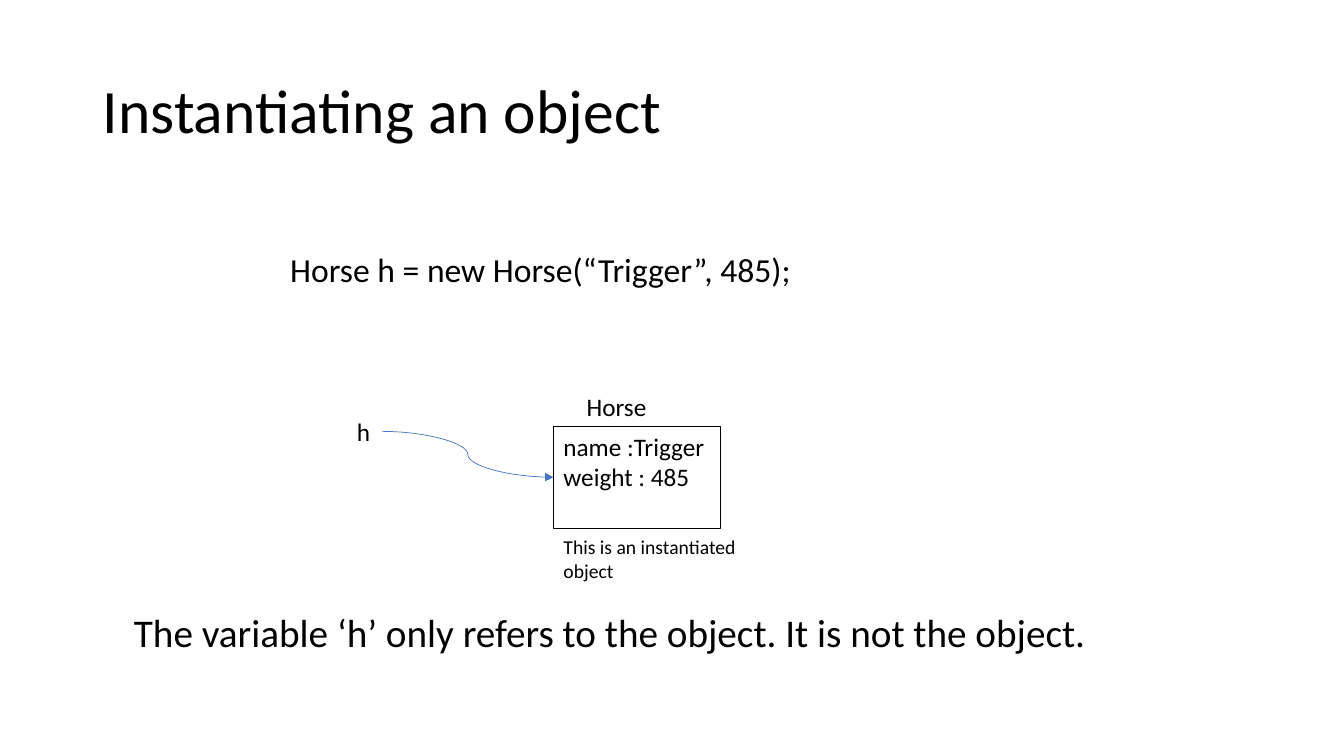
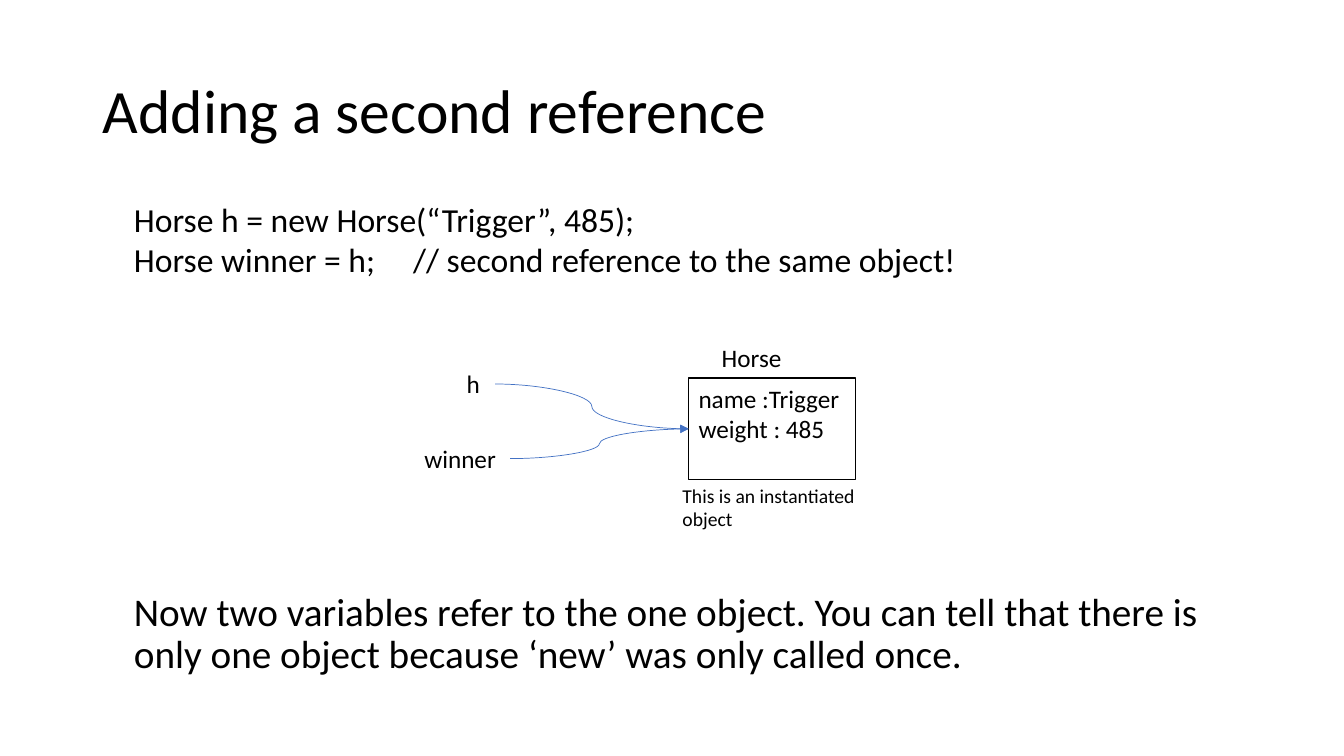
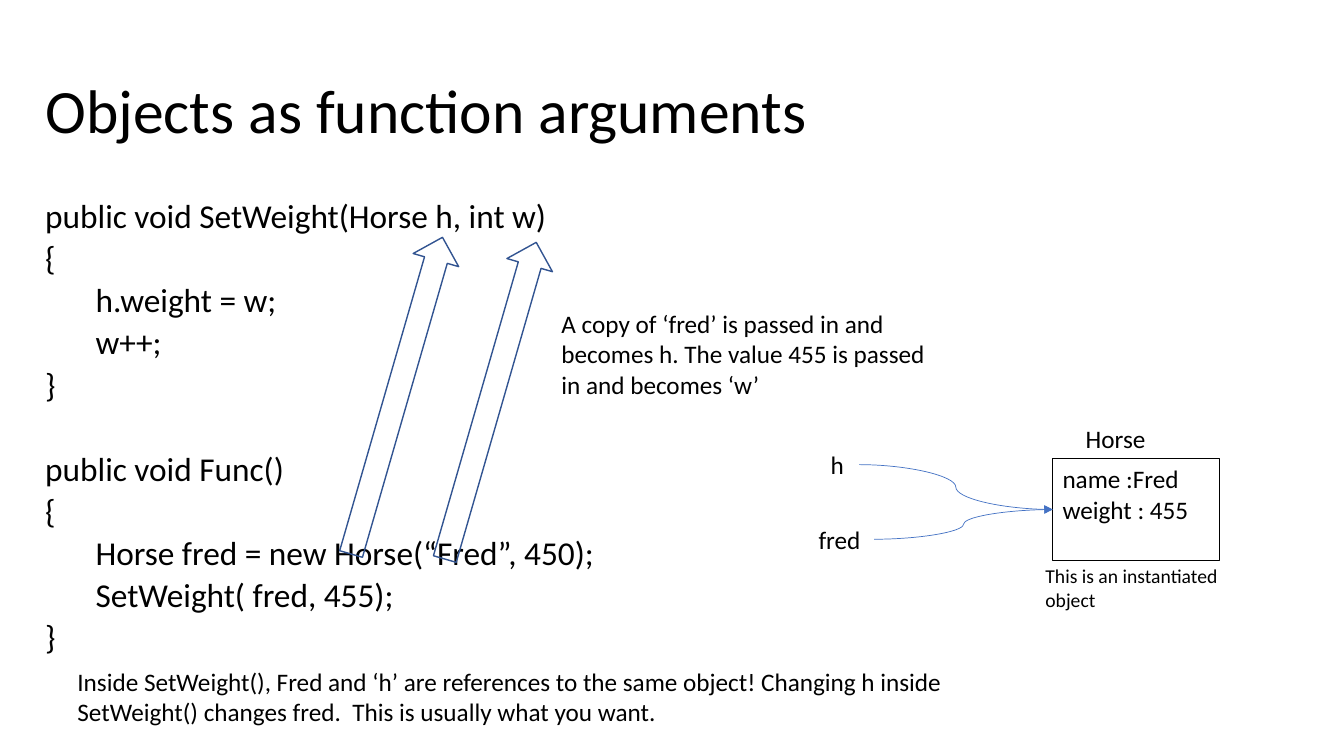
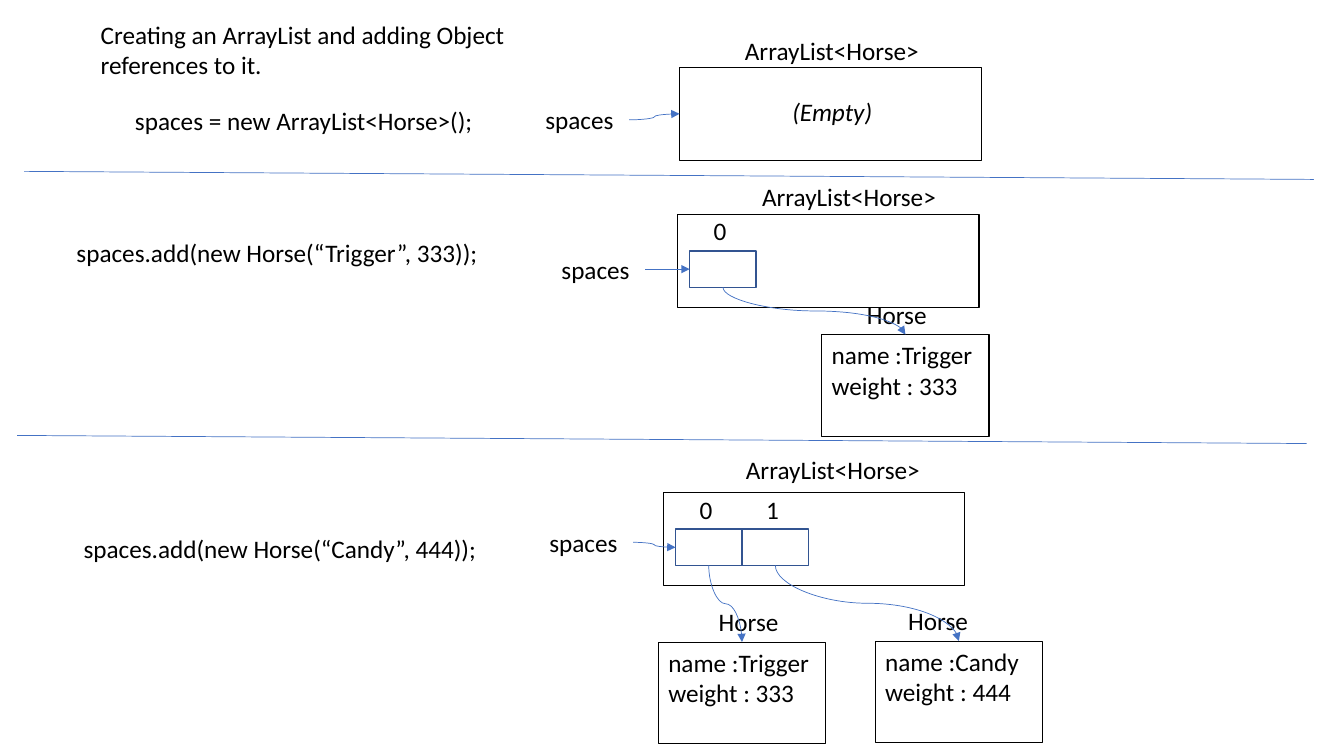
from lxml import etree
from pptx import Presentation
from pptx import util as u
from pptx.dml.color import RGBColor
from pptx.enum import shapes, text
from pptx.oxml.ns import qn

COLOURS = {"ink": "000000", "pointer": "4472C4", "outline": "325491"}
FONT = "Calibri"
TITLE_ONLY, BLANK = 5, 6
HORSE_WIDTH, HORSE_HEIGHT = 1.66, 1.01
LIST_WIDTH, LIST_HEIGHT = 2.99, 0.92
SLOT_WIDTH, SLOT_HEIGHT = 0.66, 0.36
LABEL_HEIGHT = 0.4

CAPTION = "This is an instantiated object"
NEW_TRIGGER = "Horse h = new Horse(“Trigger”, 485);"

REFERENCE_SLIDES = [
    {
        "title": ("Instantiating an object", 0.92),
        "code": ((2.78, 2.42, 6.67, 0.81), [NEW_TRIGGER]),
        "horse": (5.49, 4.23, "Trigger", 485),
        "caption": (0, 1.03),
        "references": [("h", -1.7, -0.15, 0.35)],
        "closing": "The variable ‘h’ only refers to the object. It is not the object.",
    },
    {
        "title": ("Adding a second reference", 0.92),
        "code": ((1.23, 1.92, 11.5, 1.21),
                 [NEW_TRIGGER, "Horse winner = h;\t// second reference to the same object!"]),
        "horse": (6.83, 3.75, "Trigger", 485),
        "caption": (-0.16, 1),
        "references": [("h", -1.92, -0.14, 0.38), ("winner", -1.77, 0.6, 0.95)],
        "closing": "Now two variables refer to the one object. You can tell that there is "
                   "only one object because ‘new’ was only called once.",
    },
    {
        "title": ("Objects as function arguments", 0.35),
        "functions": [
            ["public void SetWeight(Horse h, int w)", "{", "\th.weight = w;", "\tw++;", "}"],
            ["public void Func()", "{", "\tHorse fred = new Horse(“Fred”, 450);",
             "\tSetWeight( fred, 455);", "}"],
        ],
        "arrows": [(3.7, 2.29), (4.63, 2.34)],
        "notes": [
            ((5.47, 3.01, 3.92, 1.01),
             "A copy of ‘fred’ is passed in and becomes h. The value 455 is passed in and becomes ‘w’"),
            ((0.67, 6.56, 9.27, 0.71),
             "Inside SetWeight(), Fred and ‘h’ are references to the same object! Changing h inside "
             "SetWeight() changes fred.  This is usually what you want."),
        ],
        "horse": (10.44, 4.55, "Fred", 455),
        "caption": (-0.17, 1),
        "references": [("h", -1.92, -0.14, 0.38), ("fred", -1.77, 0.6, 0.65)],
    },
]

LIST_INTRO = ((0.9, 0.14, 4.78, 0.71), "Creating an ArrayList and adding Object references to it.")
LIST_STAGES = [
    {"list": (6.74, 0.67), "heading": (7.29, 0.3), "spaces": (6.24, 0.99),
     "code": ("spaces = new ArrayList<Horse>();", 1.24, 1), "horses": []},
    {"list": (6.72, 2.13), "heading": (7.46, 1.75), "spaces": (6.4, 2.47),
     "code": ("spaces.add(new Horse(“Trigger”, 333));", 0.66, 2.31),
     "horses": [((8.15, 3.32, "Trigger", 333), 0.35)]},
    {"list": (6.58, 4.89), "heading": (7.3, 4.46), "spaces": (6.28, 5.18),
     "code": ("spaces.add(new Horse(“Candy”, 444));", 0.73, 5.24),
     "horses": [((6.53, 6.37, "Trigger", 333), 0.5), ((8.68, 6.36, "Candy", 444), 0.23)]},
]
DIVIDERS = [(0.24, 1.7), (0.17, 4.32)]


def colour(name):
    return RGBColor.from_string(COLOURS[name])


def write(frame, lines, size, spacing=None, italic=False):
    for number, line in enumerate(lines):
        para = frame.paragraphs[0] if number == 0 else frame.add_paragraph()
        para.alignment = text.PP_ALIGN.LEFT
        if spacing:
            para.line_spacing = spacing
        span = para.add_run()
        span.text = line
        span.font.name = FONT
        span.font.size = u.Pt(size)
        span.font.italic = italic
        span.font.color.rgb = colour("ink")


def add_text(slide, place, lines, size=18, middle=False, **style):
    box = slide.shapes.add_textbox(*map(u.Inches, place))
    frame = box.text_frame
    frame.word_wrap = True
    if middle:
        frame.vertical_anchor = text.MSO_ANCHOR.MIDDLE
    write(frame, lines, size, **style)
    return box


def add_title(slide, words, left):
    title = slide.shapes.title
    title.left, title.top, title.width, title.height = map(u.Inches, (left, 0.4, 11.5, 1.45))
    title.text_frame.vertical_anchor = text.MSO_ANCHOR.MIDDLE
    write(title.text_frame, [words], 44, spacing=0.9)


def add_outline(slide, place, line="ink", width=0.75, kind=shapes.MSO_SHAPE.RECTANGLE):
    shape = slide.shapes.add_shape(kind, *map(u.Inches, place))
    shape.shadow.inherit = False
    shape.fill.background()
    shape.line.color.rgb = colour(line)
    shape.line.width = u.Pt(width)
    return shape


def add_line(slide, start, end, kind=shapes.MSO_CONNECTOR.STRAIGHT):
    line = slide.shapes.add_connector(kind, *map(u.Inches, (*start, *end)))
    line.line.color.rgb = colour("pointer")
    line.line.width = u.Pt(0.5)
    properties = line.element.spPr
    etree.SubElement(properties, qn("a:effectLst"))
    return properties


def add_pointer(slide, start, end, downward=False):
    if downward:
        middle_x, middle_y = (start[0] + end[0]) / 2, (start[1] + end[1]) / 2
        half_x, half_y = (end[0] - start[0]) / 2, (end[1] - start[1]) / 2
        start = (middle_x + half_y, middle_y - half_x)
        end = (middle_x - half_y, middle_y + half_x)
    properties = add_line(slide, start, end, shapes.MSO_CONNECTOR.CURVE)
    if downward:
        properties.find(qn("a:xfrm")).set("rot", str(270 * 60000))
    etree.SubElement(properties.find(qn("a:ln")), qn("a:tailEnd"), type="triangle")


def add_horse(slide, left, top, name, weight, label_shift=0.23):
    add_text(slide, (left + label_shift, top - 0.4, 1.07, LABEL_HEIGHT), ["Horse"])
    box = add_outline(slide, (left, top, HORSE_WIDTH, HORSE_HEIGHT))
    box.text_frame.vertical_anchor = text.MSO_ANCHOR.TOP
    write(box.text_frame, [f"name :{name}", f"weight : {weight}"], 18)


def add_reference(slide, name, right, top, width, target):
    add_text(slide, (right - width, top, width, LABEL_HEIGHT), [name])
    add_pointer(slide, (right, top + LABEL_HEIGHT / 2), target)


def add_functions(slide, functions):
    lines = [line for function in functions for line in function]
    box = add_text(slide, (0.35, 2, 11.5, 4.76), lines, 23.8, spacing=0.7)
    for number, para in enumerate(box.text_frame.paragraphs):
        if number:
            starts_function = number == len(functions[0])
            para.space_before = u.Pt(40.3 if starts_function else 10)


def add_code(slide, place, lines):
    box = add_text(slide, place, lines, 24)
    for para in box.text_frame.paragraphs:
        if "\t" in para.text:
            stops = etree.SubElement(para.line_spacing is None and para._p.get_or_add_pPr(), qn("a:tabLst"))
            etree.SubElement(stops, qn("a:tab"), pos=str(u.Inches(2.77)), algn="l")


def add_reference_slide(deck, content):
    slide = deck.slides.add_slide(deck.slide_layouts[TITLE_ONLY])
    add_title(slide, *content["title"])
    if "code" in content:
        add_code(slide, *content["code"])
    if "functions" in content:
        add_functions(slide, content["functions"])
    for left, top in content.get("arrows", []):
        arrow = add_outline(slide, (left, top, 0.47, 3.27), "outline", 1, shapes.MSO_SHAPE.DOWN_ARROW)
        arrow.rotation = 196.1
    for place, words in content.get("notes", []):
        add_text(slide, place, [words])
    left, top = content["horse"][:2]
    add_horse(slide, *content["horse"])
    for name, right, down, width in content["references"]:
        add_reference(slide, name, left + right, top + down, width, (left, top + HORSE_HEIGHT / 2))
    shift, drop = content["caption"]
    add_text(slide, (left + shift, top + drop, 2.22, 0.57), [CAPTION], 14)
    if "closing" in content:
        add_text(slide, (1.23, 5.57, 11.5, 1.45), [content["closing"]], 28, middle=True, spacing=0.9)


def add_stage(slide, stage):
    left, top = stage["list"]
    code, code_left, code_top = stage["code"]
    add_text(slide, (code_left, code_top, 4.28, LABEL_HEIGHT), [code])
    add_text(slide, (*stage["heading"], 1.94, LABEL_HEIGHT), ["ArrayList<Horse>"])
    add_outline(slide, (left, top, LIST_WIDTH, LIST_HEIGHT))
    target = (left, top + LIST_HEIGHT / 2)
    if not stage["horses"]:
        add_text(slide, (left + 1.02, top + 0.24, 1.31, LABEL_HEIGHT), ["(Empty)"], italic=True)
    for index, (horse, label_shift) in enumerate(stage["horses"]):
        slot_left, slot_top = left + 0.12 + index * SLOT_WIDTH, top + 0.36
        if index == 0:
            target = (slot_left, slot_top + SLOT_HEIGHT / 2)
        add_outline(slide, (slot_left, slot_top, SLOT_WIDTH, SLOT_HEIGHT), "outline", 1)
        add_text(slide, (slot_left + 0.14, top - 0.04, 0.3, LABEL_HEIGHT), [str(index)])
        add_horse(slide, *horse, label_shift)
        add_pointer(slide, (slot_left + SLOT_WIDTH / 2, slot_top + SLOT_HEIGHT),
                    (horse[0] + HORSE_WIDTH / 2, horse[1]), downward=True)
    add_reference(slide, "spaces", *stage["spaces"], 0.93, target)


def add_list_slide(deck):
    slide = deck.slides.add_slide(deck.slide_layouts[BLANK])
    place, words = LIST_INTRO
    add_text(slide, place, [words])
    for stage in LIST_STAGES:
        add_stage(slide, stage)
    for left, top in DIVIDERS:
        add_line(slide, (left, top), (left + 12.79, top + 0.08))


def main():
    deck = Presentation()
    deck.slide_width, deck.slide_height = u.Inches(13.33), u.Inches(7.5)
    for content in REFERENCE_SLIDES:
        add_reference_slide(deck, content)
    add_list_slide(deck)
    deck.save("out.pptx")


if __name__ == "__main__":
    main()
